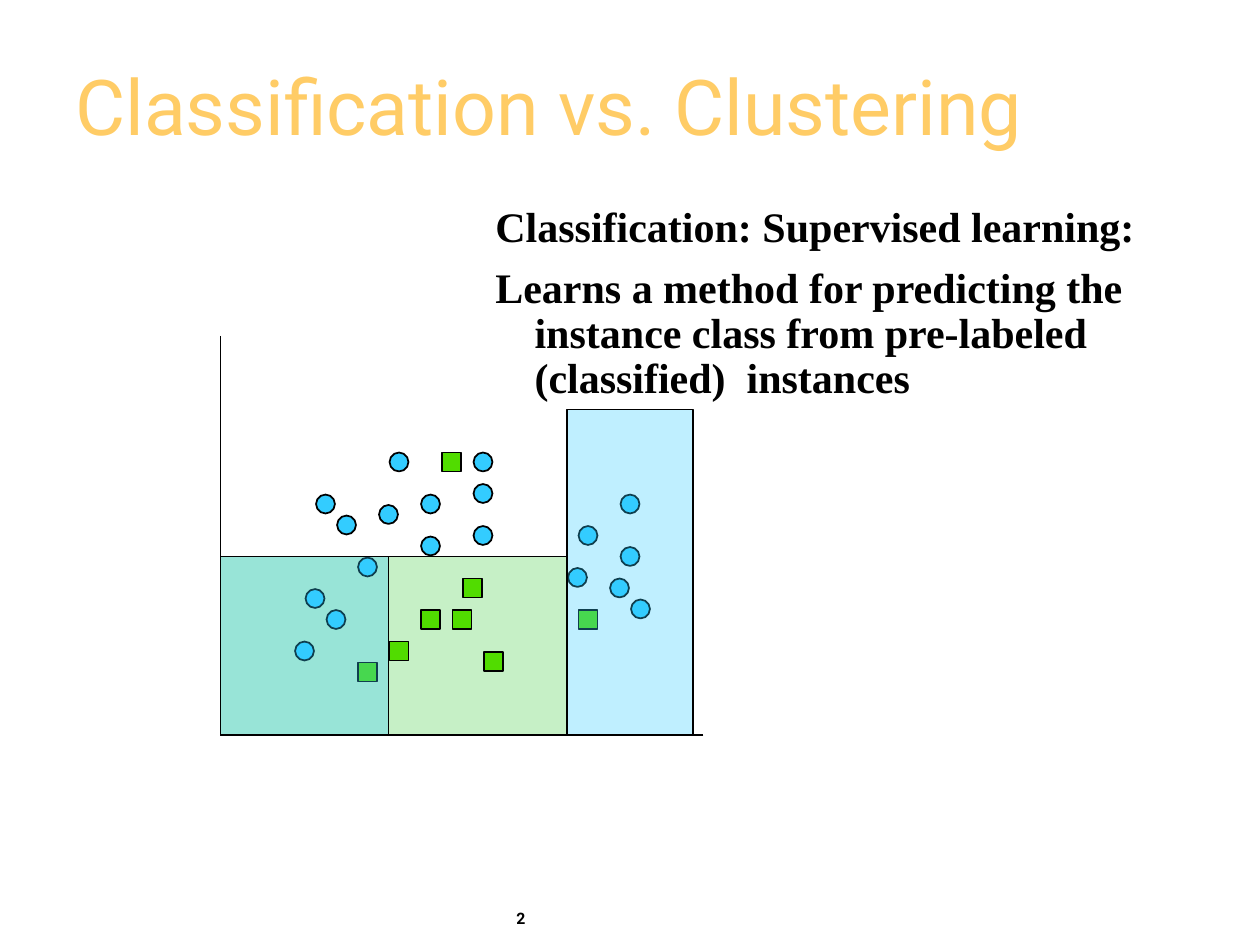
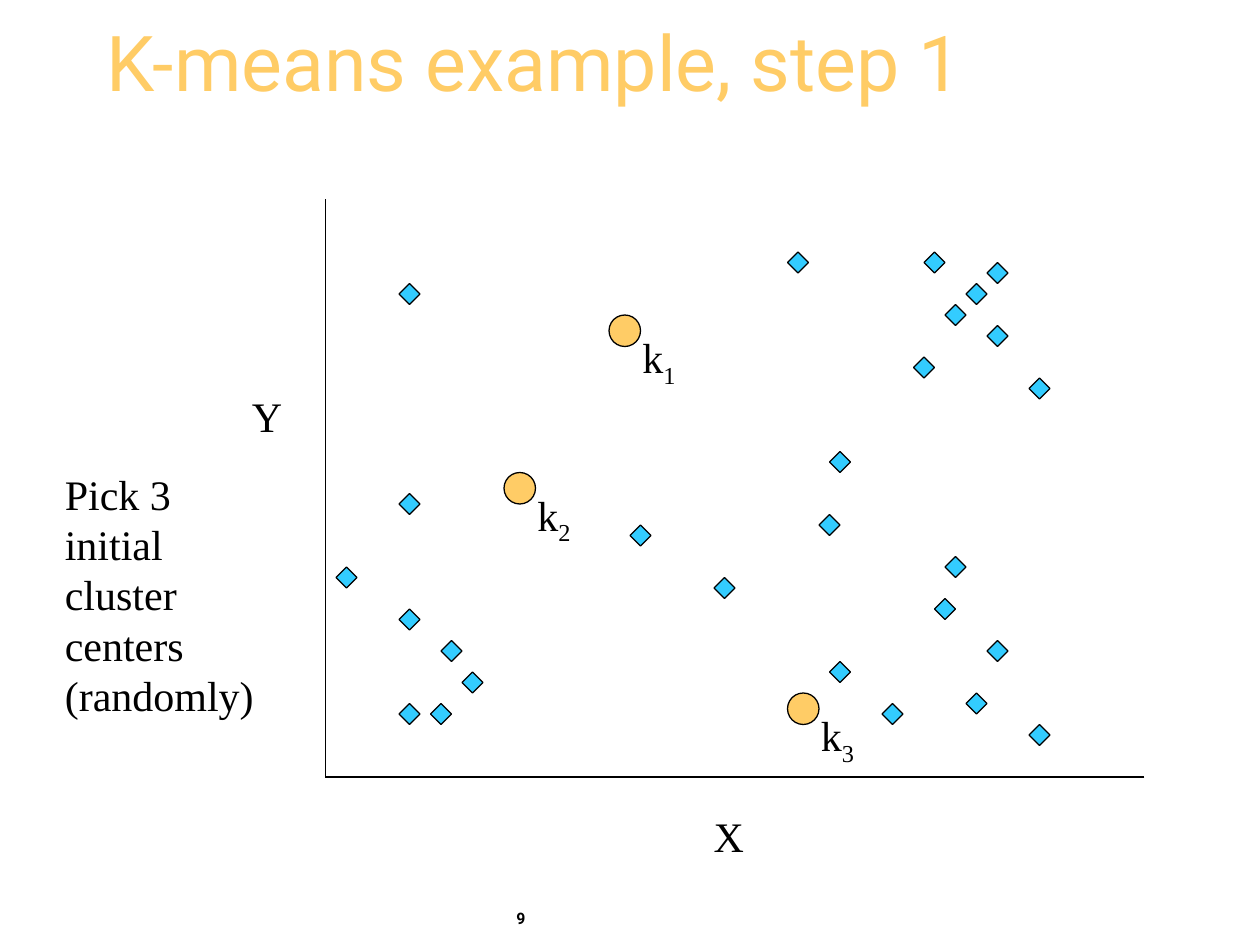
from lxml import etree
from pptx import Presentation
from pptx import util as u
from pptx.dml.color import RGBColor
from pptx.enum import shapes, text
from pptx.oxml import ns

BLACK = RGBColor(0x00, 0x00, 0x00)
WHITE = RGBColor(0xFF, 0xFF, 0xFF)
GOLD = RGBColor(0xFF, 0xCC, 0x66)
SKY = RGBColor(0x33, 0xCC, 0xFF)
LIME = RGBColor(0x51, 0xDC, 0x00)
GREEN = RGBColor(0x33, 0xCC, 0x33)

RECT = shapes.MSO_SHAPE.RECTANGLE
OVAL = shapes.MSO_SHAPE.OVAL
DIAMOND = shapes.MSO_SHAPE.DIAMOND
TOP, MIDDLE, BOTTOM = (text.MSO_ANCHOR.TOP, text.MSO_ANCHOR.MIDDLE,
                       text.MSO_ANCHOR.BOTTOM)

TITLE = dict(name="Roboto", size=u.Pt(44), color=GOLD)
NUMBER = dict(name="Roboto", size=u.Pt(9), bold=True, color=BLACK)
BODY = dict(name="Times New Roman", size=u.Pt(24), color=BLACK)
STRONG = dict(BODY, bold=True)


def grid(*steps):
    """Turn grid steps, twelve to 2.54 cm, into lengths."""
    return [u.Cm(n * 2.54 / 12) for n in steps]


def style_font(font, fmt):
    for key, value in fmt.items():
        if key == "color":
            font.color.rgb = value
        else:
            setattr(font, key, value)


class Deck:
    """Holds the style and the current slide; places are in grid steps."""

    def __init__(self):
        self.prs = Presentation()
        self.prs.slide_width, self.prs.slide_height = u.Cm(25.4), u.Cm(19.05)
        self.s = None

    def slide(self, title, title_box, anchor, number):
        self.s = self.prs.slides.add_slide(self.prs.slide_layouts[6])
        fill = self.s.background.fill
        fill.solid()
        fill.fore_color.rgb = WHITE
        self.text((48, 86, 12, 4), [number], NUMBER)
        self.text(title_box, [title], TITLE, anchor=anchor, spacing=0.85)

    def text(self, box, lines, fmt, anchor=TOP, wrap=True, spacing=None,
             before=0, hanging=0):
        tf = self.s.shapes.add_textbox(*grid(*box)).text_frame
        tf.word_wrap, tf.vertical_anchor = wrap, anchor
        for i, line in enumerate(lines):
            p = tf.paragraphs[0] if i == 0 else tf.add_paragraph()
            if spacing:
                p.line_spacing = spacing
            if i and before:
                p.space_before = u.Pt(before)
            if hanging:
                pPr = p._p.get_or_add_pPr()
                pPr.set("marL", str(u.Cm(hanging)))
                pPr.set("indent", str(-u.Cm(hanging)))
            r = p.add_run()
            r.text = line
            style_font(r.font, fmt)
        return tf

    def shape(self, kind, box, color, width=0.75, alpha=None):
        sp = self.s.shapes.add_shape(kind, *grid(*box))
        sp.shadow.inherit = False
        sp.fill.solid()
        sp.fill.fore_color.rgb = color
        sp.line.color.rgb, sp.line.width = BLACK, u.Pt(width)
        if alpha:
            clr = sp._element.spPr.find(".//" + ns.qn("a:srgbClr"))
            etree.SubElement(clr, ns.qn("a:alpha")).set("val", str(alpha * 1000))
        return sp

    def markers(self, kind, centers, size, color, width=0.75):
        for x, y in centers:
            self.shape(kind, (x - size / 2, y - size / 2, size, size), color, width)

    def axes(self, left, top, right, bottom, width):
        for start in ((left, top), (right, bottom)):
            line = self.s.shapes.add_connector(
                shapes.MSO_CONNECTOR.STRAIGHT, *grid(*start, left, bottom))
            line.line.color.rgb, line.line.width = BLACK, u.Pt(width)
            etree.SubElement(line._element.spPr, ns.qn("a:effectLst"))

    def center(self, left, top, index):
        """Draw a cluster centre with its label k and a subscript."""
        self.shape(OVAL, (left, top, 3, 3), GOLD)
        tf = self.text((left + 2, top + 1, 7, 6.7), ["k"], BODY)
        r = tf.paragraphs[0].add_run()
        r.text = str(index)
        style_font(r.font, BODY)
        r._r.get_or_add_rPr().set("baseline", "-25000")


def classification(deck):
    squares = [(41, 59), (45, 56), (44, 59), (47, 63), (56, 59), (38, 62),
               (35, 64), (43, 44)]
    circles = [(31, 48), (33, 50), (37, 49), (41, 48), (30, 57), (46, 44),
               (35, 54), (41, 52), (46, 51), (32, 59), (29, 62), (38, 44),
               (46, 47), (60, 48), (56, 51), (55, 55), (59, 56), (61, 58),
               (60, 53)]
    deck.slide("Classification vs. Clustering", (6, 3, 109, 12), BOTTOM, "2")
    deck.shape(RECT, (21, 53, 33, 17), GREEN, alpha=28)
    deck.axes(21, 32, 67, 70, 1)
    deck.markers(RECT, squares, 1.8, LIME, 1)
    deck.markers(OVAL, circles, 1.8, SKY, 1)
    deck.text((46, 19, 67, 20), [
        "Classification: Supervised learning:",
        "Learns a method for predicting the instance class from pre-labeled "
        "(classified)  instances",
    ], STRONG, spacing=0.9, before=9, hanging=0.79)
    for region in ((54, 39, 12, 31), (21, 53, 16, 17)):
        deck.shape(RECT, region, SKY, alpha=31)


def k_means(deck):
    points = [(43, 62), (45, 65), (42, 68), (39, 59), (39, 28), (39, 48),
              (39, 68), (33, 55), (61, 51), (89, 25), (95, 26), (93, 28),
              (91, 30), (95, 32), (99, 37), (76, 25), (80, 44), (80, 64),
              (85, 68), (90, 58), (79, 50), (69, 56), (95, 62), (93, 67),
              (91, 54), (99, 70), (88, 35)]
    deck.slide("K-means example, step 1", (9, 3, 102, 7), MIDDLE, "9")
    deck.markers(DIAMOND, points, 2, SKY)
    for index, (left, top) in enumerate([(58, 30), (48, 45), (75, 66)], 1):
        deck.center(left, top, index)
    deck.axes(31, 19, 109, 74, 0.75)
    for name, left, top in (("X", 66.8, 76.6), ("Y", 22.8, 36.6)):
        deck.text((left, top, 5.3, 6), [name], BODY, wrap=False)
    deck.text((5, 44, 20.4, 30),
              ["Pick 3", "initial", "cluster", "centers", "(randomly)"],
              BODY, wrap=False)


def main():
    deck = Deck()
    classification(deck)
    k_means(deck)
    deck.prs.save("out.pptx")


if __name__ == "__main__":
    main()
